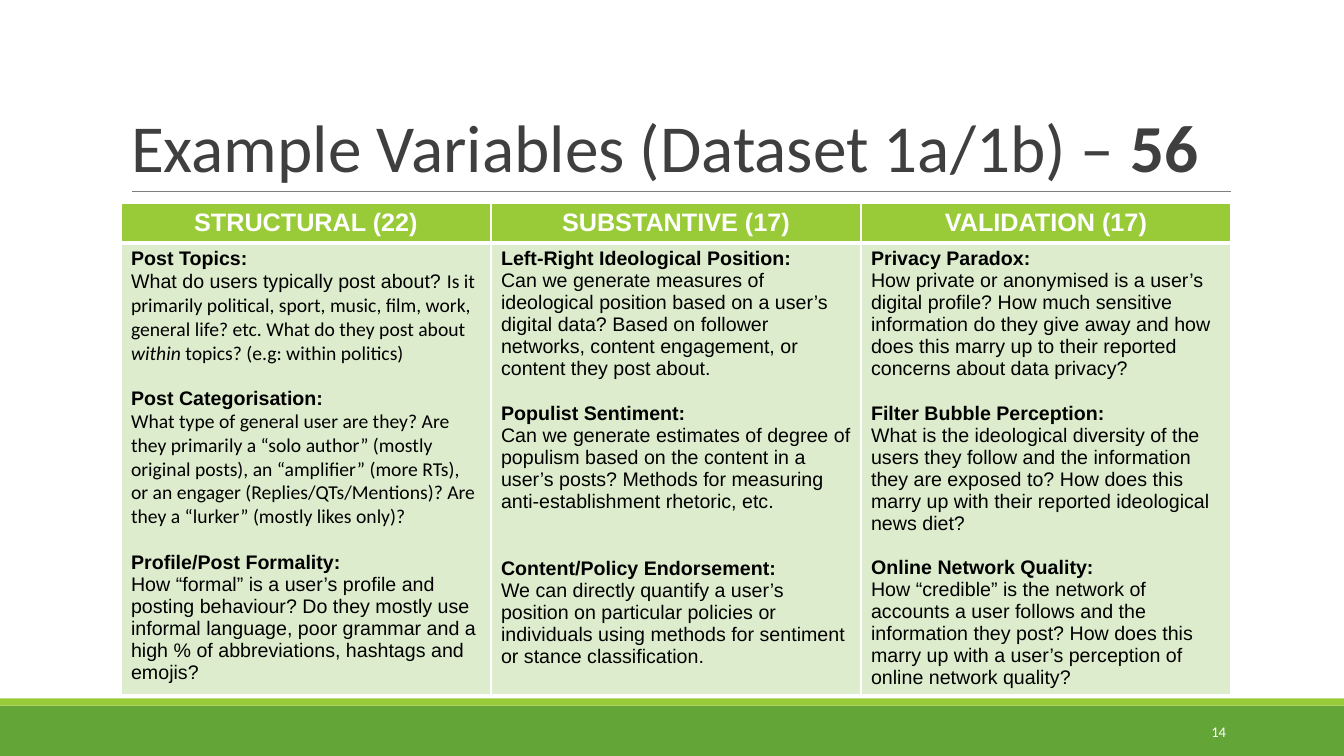
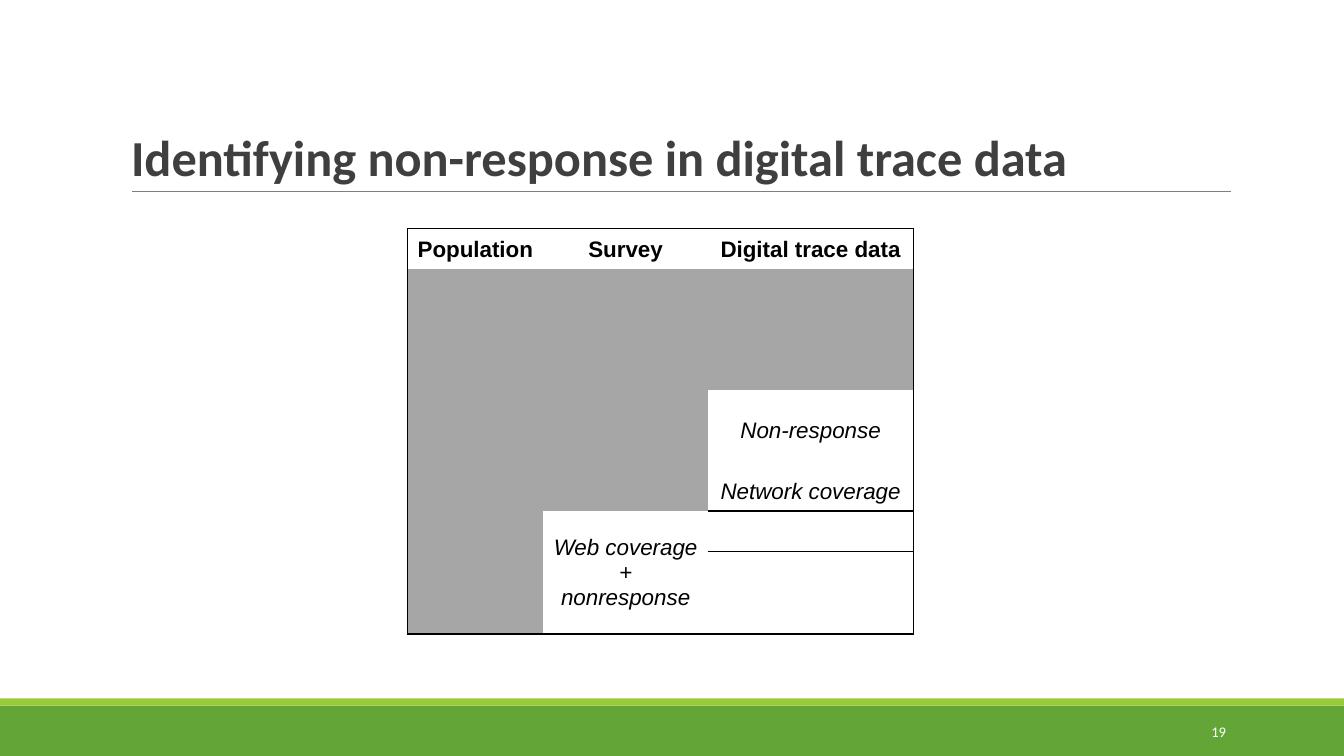
from lxml import etree
from pptx import Presentation
from pptx.dml.color import RGBColor
from pptx.enum.shapes import MSO_CONNECTOR, MSO_SHAPE
from pptx.enum.text import MSO_ANCHOR, MSO_AUTO_SIZE, PP_ALIGN
from pptx.oxml.ns import qn
from pptx.util import Inches, Pt

LEFT, CENTER, RIGHT = PP_ALIGN.LEFT, PP_ALIGN.CENTER, PP_ALIGN.RIGHT
TOP, MIDDLE, BOTTOM = MSO_ANCHOR.TOP, MSO_ANCHOR.MIDDLE, MSO_ANCHOR.BOTTOM
RECTANGLE, STRAIGHT = MSO_SHAPE.RECTANGLE, MSO_CONNECTOR.STRAIGHT
NO_AUTOFIT = MSO_AUTO_SIZE.NONE
TITLE_ONLY = 5
NO_STYLE_NO_GRID = "{2D5ABB26-0587-4C30-8999-92F81FD0307C}"

COLORS = {
    "band": "63A537", "accent": "99CB38", "rule": "7F7F7F", "title": "3F3F3F",
    "pale": "DDECCC", "grey": "A6A6A6", "white": "FFFFFF", "black": "000000",
}
WIDTH, HEIGHT = 13.33, 7.5
BANDS = [(7, 0.5, "band"), (6.93, 0.07, "accent")]

STYLES = {
    "title": {"name": "Calibri", "size": Pt(48), "bold": False, "color": "title"},
    "title bold": {"name": "Calibri", "size": Pt(48), "bold": True, "color": "title"},
    "title small": {"name": "Calibri", "size": Pt(36), "bold": True, "color": "title"},
    "number": {"name": "Calibri", "size": Pt(10.5), "color": "white"},
    "header": {"name": "Arial", "size": Pt(18), "bold": True, "color": "white"},
    "topic": {"name": "Arial", "size": Pt(14), "bold": True, "color": "black"},
    "body": {"name": "Arial", "size": Pt(14), "bold": False, "color": "black"},
    "alt": {"name": "Calibri", "size": Pt(14), "bold": False, "color": "black"},
    "alt italic": {"name": "Calibri", "size": Pt(14), "italic": True, "color": "black"},
    "source": {"name": "Arial", "size": Pt(16), "bold": True, "color": "black"},
    "loss": {"name": "Arial", "size": Pt(16), "italic": True, "color": "black"},
}

VARIABLES_TITLE = [("Example Variables (Dataset 1a/1b) – ", "title"), ("56", "title bold")]
VARIABLES = [
    ("STRUCTURAL (22)", [
        (0, "Post Topics:", [
            ("What do users typically post about? ", "body"),
            ("Is it primarily political, sport, music, film, work, general life? etc. "
             "What do they post about ", "alt"),
            ("within", "alt italic"),
            (" topics? (e.g: within politics)", "alt")]),
        (16, "Post Categorisation:", [
            ("What type of general user are they? Are they primarily a “solo author” "
             "(mostly original posts), an “amplifier” (more RTs), or an engager "
             "(Replies/QTs/Mentions)? Are they a “lurker” (mostly likes only)?", "alt")]),
        (16, "Profile/Post Formality:", [
            ("How “formal” is a user’s profile and posting behaviour? Do they mostly use "
             "informal language, poor grammar and a high % of abbreviations, hashtags "
             "and emojis?", "body")]),
    ]),
    ("SUBSTANTIVE (17)", [
        (0, "Left-Right Ideological Position:", [
            ("Can we generate measures of ideological position based on a user’s digital "
             "data? Based on follower networks, content engagement, or content they post "
             "about.", "body")]),
        (16, "Populist Sentiment:", [
            ("Can we generate estimates of degree of populism based on the content in a "
             "user’s posts? Methods for measuring anti-establishment rhetoric, etc.", "body")]),
        (32, "Content/Policy Endorsement:", [
            ("We can directly quantify a user’s position on particular policies or "
             "individuals using methods for sentiment or stance classification.", "body")]),
    ]),
    ("VALIDATION (17)", [
        (0, "Privacy Paradox:", [
            ("How private or anonymised is a user’s digital profile? How much sensitive "
             "information do they give away and how does this marry up to their reported "
             "concerns about data privacy?", "body")]),
        (16, "Filter Bubble Perception:", [
            ("What is the ideological diversity of the users they follow and the "
             "information they are exposed to? How does this marry up with their reported "
             "ideological news diet?", "body")]),
        (16, "Online Network Quality:", [
            ("How “credible” is the network of accounts a user follows and the information "
             "they post? How does this marry up with a user’s perception of online network "
             "quality?", "body")]),
    ]),
]

RESPONSE_TITLE = [("Identifying non-response in digital trace data", "title small")]
SOURCES = [("Population", 1.35, 9), ("Survey", 1.63, 6), ("Digital trace data", 2.04, 3)]
RESPONSE_ROWS = [0.4] * 9 + [0.42]
LOSSES = [
    (4, 2, 2, "Non-response"),
    (6, 2, 1, "Network coverage"),
    (7, 1, 3, "Web coverage\v+\vnonresponse"),
]
COVERAGE_LINE = {(6, 2): "B", (7, 2): "T"}


def rgb(name):
    return RGBColor.from_string(COLORS[name])


def write(para, spans, **layout):
    for key, value in layout.items():
        setattr(para, key, value)
    for text, style in spans:
        pieces = text.split("\v")
        for index, piece in enumerate(pieces):
            if index:
                para.add_line_break()
            span = para.add_run()
            span.text = piece
            for key, value in STYLES[style].items():
                if key == "color":
                    span.font.color.rgb = rgb(value)
                else:
                    setattr(span.font, key, value)


def add_page(deck, title_spans, number):
    page = deck.slides.add_slide(deck.slide_layouts[TITLE_ONLY])
    for top, height, color in BANDS:
        band = page.shapes.add_shape(RECTANGLE, 0, Inches(top), Inches(WIDTH), Inches(height))
        band.shadow.inherit = False
        band.fill.solid()
        band.fill.fore_color.rgb = rgb(color)
        band.line.fill.background()
    rule = page.shapes.add_connector(STRAIGHT, Inches(1.31), Inches(1.9), Inches(12.21), Inches(1.9))
    rule.line.color.rgb = rgb("rule")
    rule.line.width = Pt(0.75)
    etree.SubElement(rule.element.spPr, qn("a:effectLst"))

    title = page.shapes.title
    title.left, title.top, title.width, title.height = map(Inches, (1.2, 0.31, 11, 1.59))
    number_box = page.shapes.add_textbox(*map(Inches, (10.83, 7.06, 1.43, 0.4)))
    for box, anchor in ((title, BOTTOM), (number_box, MIDDLE)):
        frame = box.text_frame
        frame.auto_size = NO_AUTOFIT
        frame.word_wrap = True
        frame.vertical_anchor = anchor
    write(title.text_frame.paragraphs[0], title_spans, alignment=LEFT, line_spacing=0.85)
    write(number_box.text_frame.paragraphs[0], [(str(number), "number")], alignment=RIGHT)
    return page


def add_grid(page, left, top, widths, heights):
    frame = page.shapes.add_table(len(heights), len(widths), Inches(left), Inches(top),
                                  Inches(sum(widths)), Inches(sum(heights)))
    table = frame.table
    table.first_row = table.horz_banding = False
    frame.element.find(".//" + qn("a:tableStyleId")).text = NO_STYLE_NO_GRID
    for column, width in zip(table.columns, widths):
        column.width = Inches(width)
    for row, height in zip(table.rows, heights):
        row.height = Inches(height)
    return table


def format_cell(cell, fill, borders, color, anchor=TOP, margins=(0.1, 0.05, 0.1, 0.05)):
    cell.vertical_anchor = anchor
    sides = ("left", "top", "right", "bottom")
    for side, margin in zip(sides, margins):
        setattr(cell, "margin_" + side, Inches(margin))
    properties = cell._tc.get_or_add_tcPr()
    for side in "LRTB":
        if side in borders:
            line = etree.SubElement(properties, qn("a:ln" + side), w=str(Pt(borders[side])))
            solid = etree.SubElement(line, qn("a:solidFill"))
            etree.SubElement(solid, qn("a:srgbClr"), val=COLORS[color])
    if fill:
        cell.fill.solid()
        cell.fill.fore_color.rgb = rgb(fill)
    else:
        cell.fill.background()


def add_variables(deck):
    page = add_page(deck, VARIABLES_TITLE, 14)
    table = add_grid(page, 1.2, 2.02, [3.67] * len(VARIABLES), [0.39, 4.45])
    for column, (heading, topics) in enumerate(VARIABLES):
        header, body = table.cell(0, column), table.cell(1, column)
        format_cell(header, "accent", {"L": 1, "R": 1, "T": 1, "B": 3}, "white")
        format_cell(body, "pale", {"L": 1, "R": 1, "T": 3, "B": 1}, "white")
        write(header.text_frame.paragraphs[0], [(heading, "header")], alignment=CENTER)
        frame = body.text_frame
        for index, (gap, topic, spans) in enumerate(topics):
            para = frame.add_paragraph() if index else frame.paragraphs[0]
            write(para, [(topic, "topic")], space_before=Pt(gap))
            write(frame.add_paragraph(), spans)


def add_response(deck):
    page = add_page(deck, RESPONSE_TITLE, 19)
    table = add_grid(page, 4.04, 2.27, [width for _, width, _ in SOURCES], RESPONSE_ROWS)
    for row, column, span, _ in LOSSES:
        if span > 1:
            table.cell(row, column).merge(table.cell(row + span - 1, column))
    for column, (_, _, depth) in enumerate(SOURCES):
        for row in range(len(RESPONSE_ROWS)):
            cell = table.cell(row, column)
            edges = {
                "L": column == 0,
                "R": column == len(SOURCES) - 1,
                "T": row == 0,
                "B": row + cell.span_height == len(RESPONSE_ROWS),
            }
            borders = {side: 1 for side, drawn in edges.items()
                       if drawn or COVERAGE_LINE.get((row, column)) == side}
            format_cell(cell, "grey" if 1 <= row <= depth else None, borders, "black",
                        MIDDLE, (0.01, 0.01, 0.01, 0))
    labels = [(0, column, name, "source") for column, (name, _, _) in enumerate(SOURCES)]
    labels += [(row, column, name, "loss") for row, column, _, name in LOSSES]
    for row, column, name, style in labels:
        para = table.cell(row, column).text_frame.paragraphs[0]
        write(para, [(name, style)], alignment=CENTER)


def main():
    deck = Presentation()
    deck.slide_width, deck.slide_height = Inches(WIDTH), Inches(HEIGHT)
    add_variables(deck)
    add_response(deck)
    deck.save("out.pptx")


if __name__ == "__main__":
    main()
